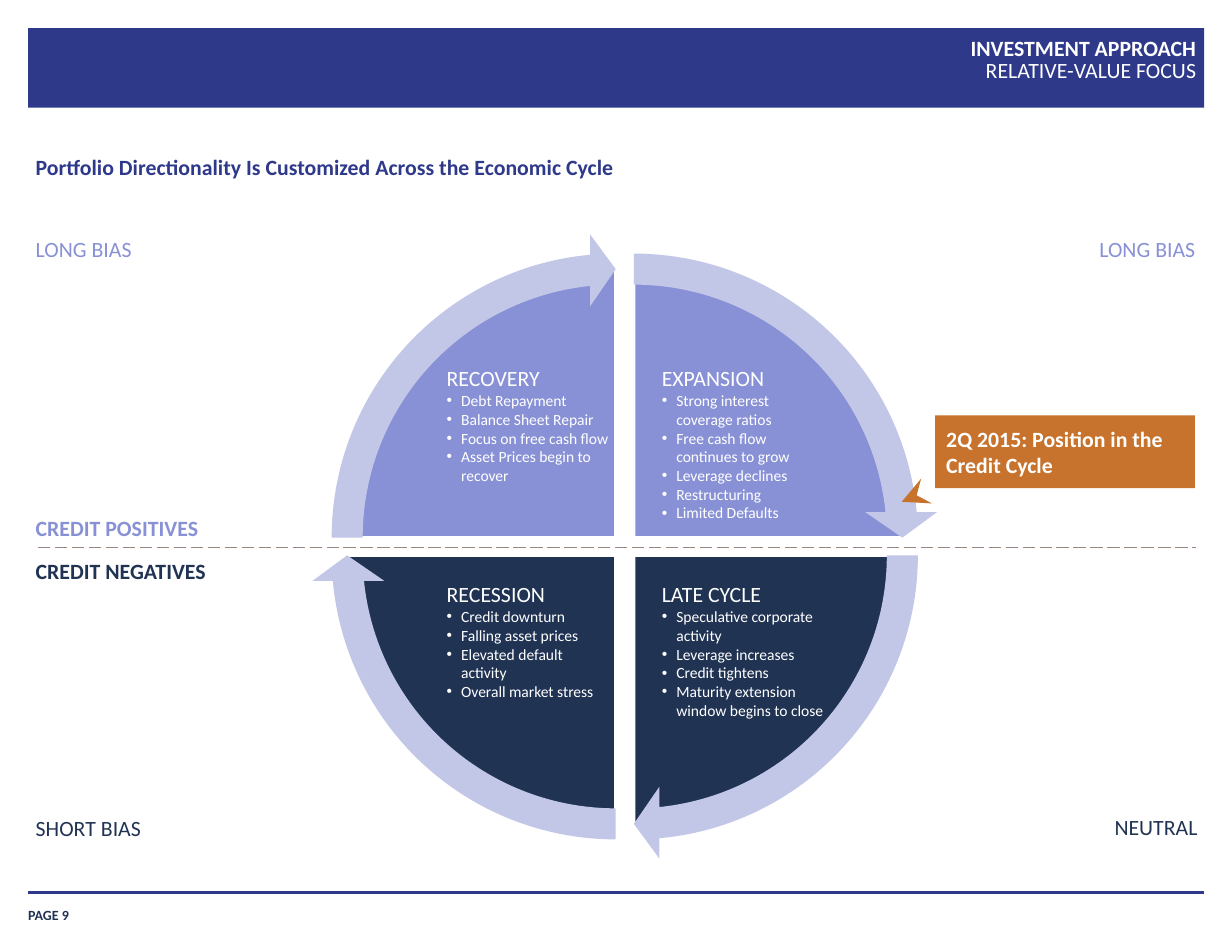
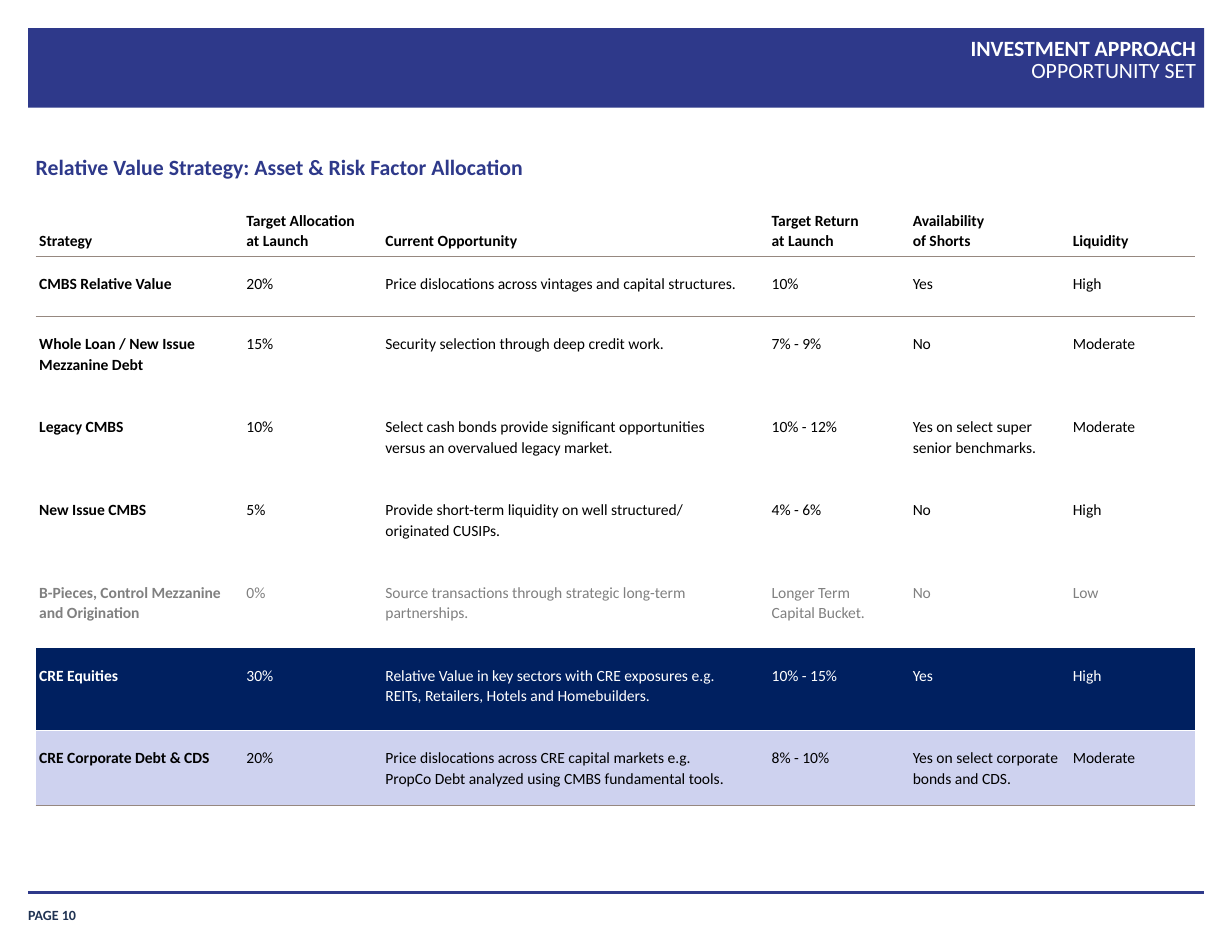
from lxml import etree
from pptx import Presentation, util as u
from pptx.dml import color
from pptx.enum import dml, shapes, text
from pptx.oxml import ns

# Shared look
BLUE, NAVY, LILAC, PALE = "2E398A", "203353", "8891D5", "C3C7E7"
WHITE, BLACK, GREY, TAUPE = "FFFFFF", "000000", "808080", "968880"
ORANGE, DEEP, MIST = "C7732D", "002060", "CED2EF"
FONT = "Calibri"
LEFT, RIGHT = 0.81, 27.13
AL, ANC = text.PP_ALIGN, text.MSO_ANCHOR
SHAPE = shapes.MSO_SHAPE
PLAIN = "{2D5ABB26-0587-4C30-8999-92F81FD0307C}"

# Wheel: heading, bullets, text box (x, y, w, h)
PHASES = [
    ("RECOVERY", ["Debt Repayment", "Balance Sheet Repair",
                  "Focus on free cash flow", "Asset Prices begin to recover"],
     (10.13, 8.28, 3.68, 3.84)),
    ("EXPANSION", ["Strong interest coverage ratios",
                   "Free cash flow continues to grow", "Leverage declines",
                   "Restructuring", "Limited Defaults"],
     (15.01, 8.28, 3.73, 3.96)),
    ("LATE CYCLE", ["Speculative corporate activity", "Leverage increases",
                    "Credit tightens",
                    "Maturity extension window begins to close"],
     (15.01, 13.18, 3.66, 3.84)),
    ("RECESSION", ["Credit downturn", "Falling asset prices",
                   "Elevated default activity", "Overall market stress"],
     (10.13, 13.18, 3.38, 3.43)),
]

# Table
COLS = [4.78, 3.15, 8.76, 3.2, 3.63, 2.77]
ROWS = [1.45, 1.35] + [1.88] * 5 + [1.45]
CELLS = [
    ["Strategy", "Target Allocation\nat Launch", "Current Opportunity",
     "Target Return\nat Launch", "Availability\nof Shorts", "Liquidity"],
    ["CMBS Relative Value", "20%",
     "Price dislocations across vintages and capital structures.",
     "10%", "Yes", "High"],
    ["Whole Loan / New Issue Mezzanine Debt", "15%",
     "Security selection through deep credit work.",
     "7% - 9%", "No", "Moderate"],
    ["Legacy CMBS", "10%",
     "Select cash bonds provide significant opportunities\n"
     "versus an overvalued legacy market.",
     "10% - 12%", "Yes on select super\nsenior benchmarks.", "Moderate"],
    ["New Issue CMBS", "5%",
     "Provide short-term liquidity on well structured/\noriginated CUSIPs.",
     "4% - 6%", "No", "High"],
    ["B-Pieces, Control Mezzanine\nand Origination", "0%",
     "Source transactions through strategic long-term partnerships.",
     "Longer Term\nCapital Bucket.", "No", "Low"],
    ["CRE Equities", "30%",
     "Relative Value in key sectors with CRE exposures e.g.\n"
     "REITs, Retailers, Hotels and Homebuilders.",
     "10% - 15%", "Yes", "High"],
    ["CRE Corporate Debt & CDS", "20%",
     "Price dislocations across CRE capital markets e.g.\n"
     "PropCo Debt analyzed using CMBS fundamental tools.",
     "8% - 10%", "Yes on select corporate bonds and CDS.", "Moderate"],
]
INKS = {5: GREY, 6: WHITE}
FILLS = {6: DEEP, 7: MIST}
RULES = {0: (TAUPE, 0.5), 6: (WHITE, 1), 7: (TAUPE, 0.5)}  # below each row


# Helpers
def rgb(code):
    return color.RGBColor.from_string(code)


def cms(*vals):
    return [u.Cm(v) for v in vals]


def put(obj, vals):
    for key, val in vals.items():
        setattr(obj, key, val)


def sub(node, tag, **attrs):
    return etree.SubElement(node, ns.qn(tag), **attrs)


def pads(left, top, right, bottom):
    keys = ("margin_left", "margin_top", "margin_right", "margin_bottom")
    return dict(zip(keys, cms(left, top, right, bottom)))


def write(para, words, ink, size=14, bold=False, **form):
    para.text = words
    put(para, form)
    for run in para.runs:
        put(run.font, {"name": FONT, "size": u.Pt(size), "bold": bold})
        run.font.color.rgb = rgb(ink)
    for gap in para._p.findall(ns.qn("a:br")):
        sub(gap, "a:rPr", sz=str(size * 100))


def frame(slide, box, anchor=ANC.TOP, pad=0):
    body = slide.shapes.add_textbox(*cms(*box)).text_frame
    put(body, {"word_wrap": True, "vertical_anchor": anchor,
               **pads(0, pad, 0, pad)})
    return body


def label(slide, box, words, ink, bold=False, align=AL.LEFT,
          anchor=ANC.TOP, pad=0, size=14, space=1.1):
    write(frame(slide, box, anchor, pad).paragraphs[0], words, ink, size,
          bold, alignment=align, line_spacing=space)


def shape(slide, kind, box, fill, edge=None, adj=()):
    item = slide.shapes.add_shape(kind, *cms(*box))
    item.shadow.inherit = False
    item.fill.solid()
    item.fill.fore_color.rgb = rgb(fill)
    if edge:
        item.line.color.rgb = rgb(edge)
        item.line.width = u.Pt(2)
    else:
        item.line.fill.background()
    for i, val in enumerate(adj):
        item.adjustments[i] = val
    return item


def rule(slide, ends, ink, width, dash=None, arrow=False):
    item = slide.shapes.add_connector(shapes.MSO_CONNECTOR.STRAIGHT,
                                      *cms(*ends))
    item.line.color.rgb = rgb(ink)
    put(item.line, {"width": u.Pt(width), "dash_style": dash})
    if arrow:
        sub(item.line._ln, "a:tailEnd", type="stealth", w="lg", len="lg")
    sub(item._element.spPr, "a:effectLst")


def base(deck, page, topic, head):
    """Slide with band, titles, heading and footer."""
    slide = deck.slides.add_slide(deck.slide_layouts[6])
    shape(slide, SHAPE.RECTANGLE, (0.64, 0.64, 26.67, 1.8), BLUE)
    label(slide, (0.64, 20.35, 2.31, 0.58), f"PAGE {page}", NAVY, True,
          anchor=ANC.BOTTOM, size=9, space=1)
    rule(slide, (0.64, 20.24, 27.31, 20.24), BLUE, 2.25)
    label(slide, (8.05, 0.74, 19.08, 1.7), "INVESTMENT APPROACH", WHITE,
          True, AL.RIGHT)
    label(slide, (8.05, 1.22, 19.08, 1.65), topic, WHITE, align=AL.RIGHT)
    label(slide, (LEFT, 3.43, 26.31, 1.22), head, BLUE, True)
    return slide


# Economic cycle
def wheel(slide):
    size, pad, turn = 12.29, 0.76, 54
    near, far, top, low = 7.82, 8.23, 6.05, 6.45
    parts = [(far, top, 162, LILAC), (far, low, 0, NAVY),
             (near, low, 54, NAVY), (near, top, 108, LILAC)]
    for x, y, start, fill in parts:
        shape(slide, SHAPE.PIE, (x, y, size, size), fill, WHITE,
              (start, (start + turn) % 216))
    ring = size + 2 * pad
    for x, y, start, _ in parts:
        shape(slide, SHAPE.CIRCULAR_ARROW, (x - pad, y - pad, ring, ring),
              PALE, adj=(5.1 / 100, 3.28, start + 50.72, start, 5.9 / 100))


def phase(slide, head, items, box):
    body = frame(slide, box)
    write(body.paragraphs[0], head, WHITE)
    for item in items:
        para = body.add_paragraph()
        props = para._p.get_or_add_pPr()
        props.set("marL", str(u.Cm(0.33)))
        props.set("indent", str(-u.Cm(0.33)))
        sub(props, "a:buFont", typeface="Arial")
        sub(props, "a:buChar", char="•")
        write(para, item, WHITE, 10)


def callout(slide, words):
    body = shape(slide, SHAPE.RECTANGLE, (21.21, 9.42, 5.89, 1.65),
                 ORANGE).text_frame
    put(body, {"word_wrap": True, "vertical_anchor": ANC.MIDDLE})
    write(body.paragraphs[0], words, WHITE, bold=True, alignment=AL.LEFT)
    rule(slide, (20.68, 11.28, 20.45, 11.38), ORANGE, 3.5, arrow=True)


def cycle(deck):
    slide = base(deck, 9, "RELATIVE-VALUE FOCUS", "Portfolio Directionality "
                 "Is Customized Across the Economic Cycle")
    wheel(slide)
    for item in PHASES:
        phase(slide, *item)
    rule(slide, (0.86, 12.42, RIGHT, 12.42), TAUPE, 1,
         dml.MSO_LINE.LONG_DASH)
    label(slide, (LEFT, 10.44, 5.11, 1.96), "CREDIT POSITIVES", LILAC, True,
          anchor=ANC.BOTTOM, pad=0.13)
    label(slide, (LEFT, 12.47, 5.11, 1.96), "CREDIT NEGATIVES", NAVY, True,
          pad=0.13)
    callout(slide, "2Q 2015: Position in the Credit Cycle")
    # Corner labels
    label(slide, (LEFT, 5.28, 7.37, 1.96), "LONG BIAS", LILAC)
    label(slide, (19.74, 5.28, 7.37, 1.96), "LONG BIAS", LILAC,
          align=AL.RIGHT)
    label(slide, (19.79, 17.93, 7.37, 1.12), "NEUTRAL", NAVY,
          align=AL.RIGHT, anchor=ANC.BOTTOM)
    label(slide, (LEFT, 17.12, 7.37, 1.96), "SHORT BIAS", NAVY,
          anchor=ANC.BOTTOM)


# Opportunity table
def edge(cell, spot, tag, ink, width):
    line = etree.Element(ns.qn(tag), w=str(u.Pt(width)))
    sub(sub(line, "a:solidFill"), "a:srgbClr", val=ink)
    cell._tc.get_or_add_tcPr().insert(spot, line)


def style(cell, r, c):
    head = r == 0
    put(cell, pads(0 if c else 0.08, 0.25 if head else 0.38, 0.25,
                   0.13 if head else 0.38))
    cell.vertical_anchor = ANC.BOTTOM if head else ANC.TOP
    write(cell.text_frame.paragraphs[0], CELLS[r][c], INKS.get(r, BLACK),
          10, head or c == 0, line_spacing=1.1)
    if r in FILLS:
        cell.fill.solid()
        cell.fill.fore_color.rgb = rgb(FILLS[r])
    else:
        cell.fill.background()
    if r in RULES:
        edge(cell, 0, "a:lnB", *RULES[r])
    if r - 1 in RULES:
        edge(cell, 0, "a:lnT", *RULES[r - 1])


def chances(deck):
    slide = base(deck, 10, "OPPORTUNITY SET",
                 "Relative Value Strategy: Asset & Risk Factor Allocation")
    grid = slide.shapes.add_table(
        len(ROWS), len(COLS),
        *cms(LEFT, 4.37, sum(COLS), sum(ROWS))).table
    put(grid, {"first_row": False, "horz_banding": False})
    grid._tbl.tblPr.find(ns.qn("a:tableStyleId")).text = PLAIN
    for col, wide in zip(grid.columns, COLS):
        col.width = u.Cm(wide)
    for r, high in enumerate(ROWS):
        grid.rows[r].height = u.Cm(high)
        for c in range(len(COLS)):
            style(grid.cell(r, c), r, c)


def main():
    deck = Presentation()
    put(deck, {"slide_width": u.Cm(27.94), "slide_height": u.Cm(21.59)})
    cycle(deck)
    chances(deck)
    deck.save("out.pptx")


if __name__ == "__main__":
    main()
